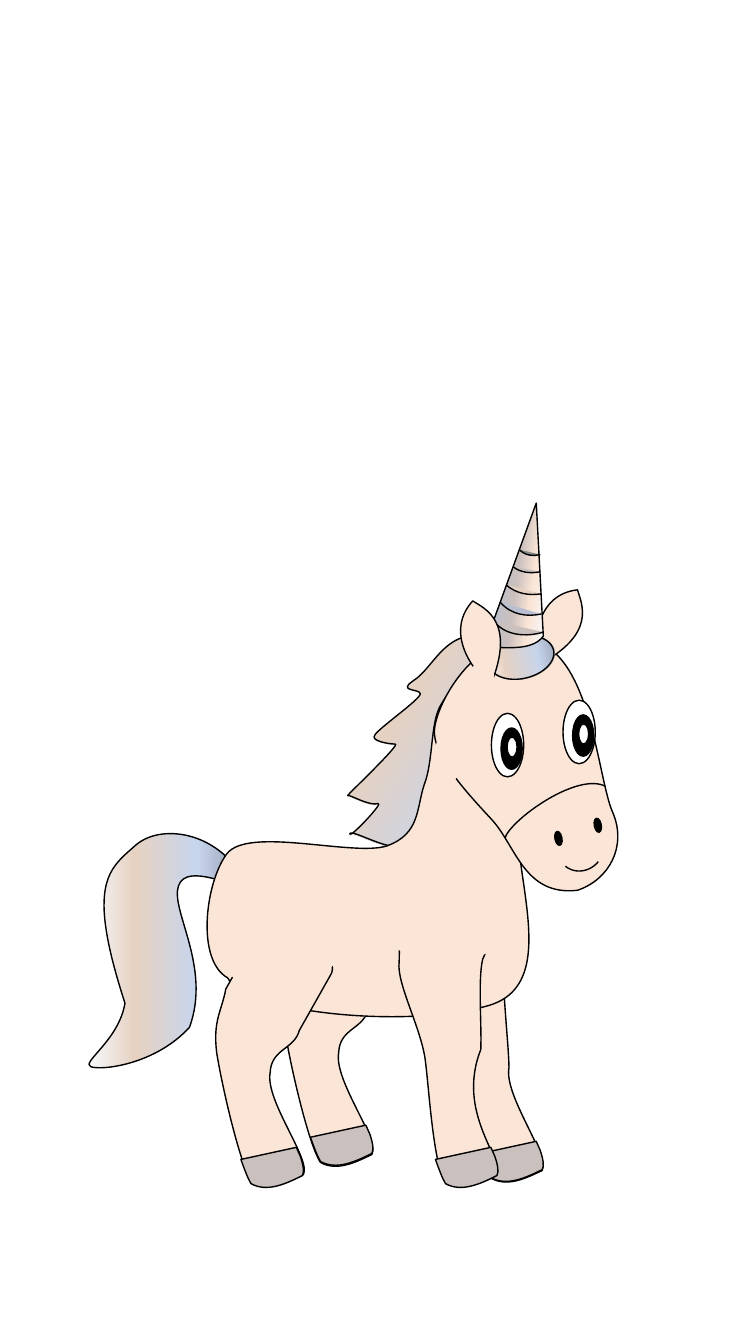
from pptx import Presentation
from pptx.dml.color import RGBColor
from pptx.enum.shapes import MSO_SHAPE as SHAPE
from pptx.oxml.ns import qn
from pptx.util import Inches, Pt
from lxml.etree import SubElement

WHITE = RGBColor(0xFF, 0xFF, 0xFF)
BLACK = RGBColor(0x00, 0x00, 0x00)
SKIN = RGBColor(0xFB, 0xE5, 0xD6)
HOOF = RGBColor(0xCA, 0xC0, 0xBE)
GREY = RGBColor(0x8C, 0x8C, 0x8C)
SAND = RGBColor(0xE6, 0xD2, 0xC2)
LILAC = RGBColor(0xBA, 0xBE, 0xD1)
PALE = RGBColor(0xF6, 0xF8, 0xFC)
SKY = RGBColor(0xC7, 0xD5, 0xED)
SLATE = RGBColor(0x90, 0x97, 0xA9)

# Gradients: (angle, [(position %, colour, opacity %), ...])
HAIR_END = [(29, SAND, 100), (69, SKY, 100), (100, SLATE, 100)]
TAIL_FILL = (0, [(0, PALE, 100)] + HAIR_END)
MANE_FILL = (33.5, [(0, PALE, 20)] + HAIR_END)
FRINGE_FILL = (0, [(0, PALE, 20)] + HAIR_END)
BODY_FILL = (45, [(0, PALE, 100), (24, SKIN, 100)])
HORN_FILL = (187.5, [(0, PALE, 100), (24, SKIN, 100), (46, HOOF, 100),
                     (74, LILAC, 100), (100, SLATE, 100)])

# Outlines: a start point, then lines (x, y) and Bezier curves (6 numbers)
TAIL = [(0.9, 10.58), (0.8, 10.54, 1.18, 10.32, 1.24, 9.95), (0.85, 8.75, 1.08, 8.62, 1.35, 8.38),
        (1.62, 8.15, 2.22, 8.27, 2.44, 8.78), (2.35, 8.83, 1.85, 8.54, 1.77, 8.79),
        (1.69, 9.03, 2.1, 9.59, 1.88, 10.19), (1.54, 10.56, 1.01, 10.62, 0.9, 10.58)]
HIND_LEG = [(2.55, 9.26), (2.58, 9.19, 2.67, 9.17, 2.74, 9.21), (3.23, 9.48),
            (3.29, 9.52, 3.32, 9.61, 3.28, 9.67), (2.97, 10.22),
            (2.92, 10.41, 2.69, 10.4, 2.68, 10.64), (2.63, 10.92, 3.09, 11.5, 3.01, 11.65),
            (2.85, 11.73, 2.66, 11.82, 2.5, 11.73), (2.38, 11.55, 2.2, 10.76, 2.15, 10.44),
            (2.11, 10.12, 2.2, 10.03, 2.24, 9.81), (2.55, 9.26)]
FAR_FORELEG = [(4.59, 9.08), (4.75, 9.03, 4.96, 9.05, 5.09, 9.12), (5.16, 9.28, 5.1, 9.26, 5.01, 9.45),
               (4.96, 9.64, 5.05, 10.35, 5.05, 10.59), (5, 10.87, 5.45, 11.45, 5.38, 11.61),
               (5.21, 11.69, 5.03, 11.78, 4.86, 11.68), (4.75, 11.5, 4.56, 10.71, 4.52, 10.39),
               (4.48, 10.07, 4.45, 9.83, 4.48, 9.62), (4.59, 9.08)]
NEAR_FORELEG = [(3.97, 9.11), (4.14, 9.05, 4.67, 9, 4.8, 9.07), (4.87, 9.23, 4.88, 9.32, 4.79, 9.51),
                (4.74, 9.7, 4.78, 10.17, 4.77, 10.41), (4.52, 11.04, 5.01, 11.5, 4.93, 11.66),
                (4.77, 11.73, 4.58, 11.82, 4.42, 11.73), (4.3, 11.55, 4.26, 10.84, 4.22, 10.52),
                (4.18, 10.2, 3.93, 9.75, 3.96, 9.54), (3.97, 9.11)]
MANE = [(5.07, 6.38), (5.51, 6.7), (4.85, 7.7), (4.5, 8.38),
        (4.33, 8.37, 4.47, 8.42, 4.08, 8.35), (3.96, 8.52, 3.49, 8.21, 3.47, 8.27),
        (3.46, 8.33, 3.82, 7.95, 3.75, 7.97), (3.67, 8, 3.47, 7.88, 3.45, 7.89),
        (3.44, 7.89, 3.99, 7.37, 3.92, 7.38), (3.86, 7.38, 3.67, 7.35, 3.72, 7.29),
        (3.76, 7.22, 4.18, 6.93, 4.17, 6.88), (4.16, 6.83, 3.95, 6.86, 4.09, 6.76),
        (4.35, 6.6, 4.43, 6.11, 5.07, 6.38)]
BODY = [(4.21, 7.78), (4.3, 7.55, 4.27, 7.17, 4.37, 7), (4.46, 6.83, 4.85, 6.36, 4.99, 6.49),
        (5.13, 6.63, 5.19, 7.25, 5.19, 7.8), (4.93, 8.38, 5.66, 9.72, 4.86, 9.97),
        (4.06, 10.21, 2.44, 10.05, 2.26, 9.7), (1.94, 9.52, 2.04, 8.75, 2.25, 8.47),
        (2.46, 8.19, 3.51, 8.5, 3.84, 8.39), (4.17, 8.27, 4.13, 8.02, 4.21, 7.78)]
HOOF_SHAPE = [(2.94, 11.38), (2.98, 11.47), (3.01, 11.56, 3.02, 11.62, 3, 11.66),
              (2.84, 11.74, 2.65, 11.83, 2.49, 11.74), (2.46, 11.69, 2.43, 11.61, 2.39, 11.5),
              (2.94, 11.38)]
HEAD = [(5.3, 6.36), (5.87, 6.51, 5.93, 7.73, 6.08, 8.06), (6.22, 8.39, 6.05, 8.72, 5.73, 8.83),
        (5.2, 8.89, 5.12, 8.39, 4.88, 8.13), (4.64, 7.87, 4.33, 7.54, 4.31, 7.28),
        (4.29, 7.02, 4.73, 6.22, 5.3, 6.36)]
RIGHT_EAR = [(5.33, 6.6), (5.93, 6.29, 5.77, 5.99, 5.73, 5.85), (5.28, 5.9, 5.29, 6.46, 5.33, 6.6)]
LEFT_EAR = [(4.87, 6.79), (5.12, 6.16, 4.81, 6.04, 4.69, 5.96), (4.38, 6.3, 4.75, 6.72, 4.87, 6.79)]
MUZZLE = [(5.01, 8.31), (5.07, 8.13, 5.73, 7.65, 6.01, 7.8)]
HORN = [(4.8, 6.42), (5.32, 4.99), (5.39, 6.31), (5.28, 6.46, 5.02, 6.42, 4.8, 6.42)]
HORN_RINGS = [
    (GREY, [(5.15, 5.45), (5.21, 5.51, 5.29, 5.52, 5.36, 5.5)]),
    (HOOF, [(5.09, 5.62), (5.16, 5.68, 5.27, 5.69, 5.36, 5.67)]),
    (SAND, [(5.02, 5.8), (5.12, 5.89, 5.25, 5.91, 5.37, 5.89)]),
    (LILAC, [(4.96, 5.97), (5.07, 6.1, 5.23, 6.12, 5.37, 6.09)]),
    (HOOF, [(4.9, 6.16), (5.01, 6.31, 5.23, 6.32, 5.39, 6.27)]),
]
HOOF_SHIFTS = [(0, 0), (0.69, -0.22), (2.38, -0.06), (1.93, 0)]
FAR_HIND_SHIFT = (0.68, -0.2)
EYES = [(4.72, 7.23), (5.43, 7.1)]
# Eye parts: offset x, y, width, height, colour
EYE_PARTS = [(0, 0, 0.63, 0.32, WHITE), (0.15, 0.09, 0.41, 0.21, BLACK), (0.26, 0.13, 0.2, 0.1, WHITE)]
NOSTRILS = [(5.47, 8.28), (5.86, 8.15)]
# Borderless patches hiding joints: left, top, width, height, rotation
JOINTS = [(2.22, 9.09, 1.25, 0.68, 345.4), (3.8, 8.9, 1.25, 0.63, 0), (4.16, 7.34, 0.59, 0.3, 98.1)]
EAR_JOINT = (4.56, 6.63, 0.4, 0.3, 98.1)


def paint(sp, fill, line=BLACK):
    sp.shadow.inherit = False
    if fill is None:
        sp.fill.background()
    elif isinstance(fill, RGBColor):
        sp.fill.solid()
        sp.fill.fore_color.rgb = fill
    else:
        angle, stops = fill
        sp.fill.gradient()
        sp.fill.gradient_angle = (360 - angle) % 360
        stop_list = sp._element.spPr.find(qn("a:gradFill")).find(qn("a:gsLst"))
        for old in list(stop_list):
            stop_list.remove(old)
        for pos, color, opacity in stops:
            gs = SubElement(stop_list, qn("a:gs"), pos=str(pos * 1000))
            clr = SubElement(gs, qn("a:srgbClr"), val=str(color))
            if opacity < 100:
                SubElement(clr, qn("a:alpha"), val=str(opacity * 1000))
    if line is None:
        sp.line.fill.background()
    else:
        sp.line.color.rgb = line
        sp.line.width = Pt(1)


def extent(path, axis):
    """Lowest and highest value the outline reaches along one axis."""
    values, last = [path[0][axis]], path[0][axis]
    for seg in path[1:]:
        a, b, c, d = (last, *seg[axis::2]) if len(seg) == 6 else (last,) + (seg[axis],) * 3
        values += [a * (1 - t) ** 3 + 3 * b * t * (1 - t) ** 2 + 3 * c * t * t * (1 - t) + d * t ** 3
                   for t in (i / 20 for i in range(21))]
        last = d
    return Inches(min(values)), Inches(max(values))


def outline(s, path, fill, close=True, shift=(0, 0)):
    path = [tuple(v + shift[i % 2] for i, v in enumerate(seg)) for seg in path]
    pts = [(Inches(seg[i]), Inches(seg[i + 1])) for seg in path for i in range(0, len(seg), 2)]
    builder = s.shapes.build_freeform(*pts[0], scale=1.0)
    builder.add_line_segments(pts[1:], close=close)
    sp = builder.convert_to_shape()
    # Join each three points of a curve into one Bezier segment
    geom = next(sp._element.iter(qn("a:path")))
    steps = iter(geom.findall(qn("a:lnTo")))
    for seg in path[1:]:
        first = next(steps)
        if len(seg) == 6:
            first.tag = qn("a:cubicBezTo")
            for step in (next(steps), next(steps)):
                first.append(step[0])
                geom.remove(step)
    # Fit the frame to the curve itself
    (left, right), (top, bottom) = extent(path, 0), extent(path, 1)
    for pt, (x, y) in zip(geom.iter(qn("a:pt")), pts):
        pt.set("x", str(x - left))
        pt.set("y", str(y - top))
    sp.left, sp.top, sp.width, sp.height = left, top, right - left, bottom - top
    geom.set("w", str(right - left))
    geom.set("h", str(bottom - top))
    paint(sp, fill)


def preset(s, kind, box, fill, rotation=0, line=BLACK):
    sp = s.shapes.add_shape(kind, *(Inches(v) for v in box))
    sp.rotation = rotation
    paint(sp, fill, line)


def main():
    prs = Presentation()
    prs.slide_width, prs.slide_height = Inches(7.5), Inches(13.33)
    s = prs.slides.add_slide(prs.slide_layouts[6])
    preset(s, SHAPE.RECTANGLE, (0.01, 4.61, 7.5, 8.7), WHITE, line=WHITE)
    # Tail, legs, mane, body and hooves
    outline(s, TAIL, TAIL_FILL)
    outline(s, HIND_LEG, SKIN, shift=FAR_HIND_SHIFT)
    for path, fill in [(FAR_FORELEG, SKIN), (MANE, MANE_FILL), (BODY, BODY_FILL),
                       (HIND_LEG, SKIN), (NEAR_FORELEG, SKIN)]:
        outline(s, path, fill)
    for shift in HOOF_SHIFTS:
        outline(s, HOOF_SHAPE, HOOF, shift=shift)
    # Head, right ear and fringe
    outline(s, HEAD, SKIN)
    outline(s, RIGHT_EAR, SKIN)
    preset(s, SHAPE.OVAL, (4.84, 6.31, 0.66, 0.42), FRINGE_FILL, 347.3)
    for *box, rotation in JOINTS:
        preset(s, SHAPE.OVAL, box, SKIN, rotation, None)
    # Horn and left ear
    outline(s, HORN, HORN_FILL)
    for color, ring in HORN_RINGS:
        outline(s, ring, color, close=False)
    outline(s, LEFT_EAR, SKIN)
    preset(s, SHAPE.OVAL, EAR_JOINT[:4], SKIN, EAR_JOINT[4], None)
    # Face
    outline(s, MUZZLE, None, close=False)
    preset(s, SHAPE.ARC, (5.52, 8.18, 0.48, 0.45), None, 129)
    for x, y in NOSTRILS:
        preset(s, SHAPE.OVAL, (x, y, 0.14, 0.07), BLACK, 79.3)
    for x, y in EYES:
        for dx, dy, w, h, color in EYE_PARTS:
            preset(s, SHAPE.OVAL, (x + dx, y + dy, w, h), color, 90)
    prs.save("out.pptx")


if __name__ == "__main__":
    main()
